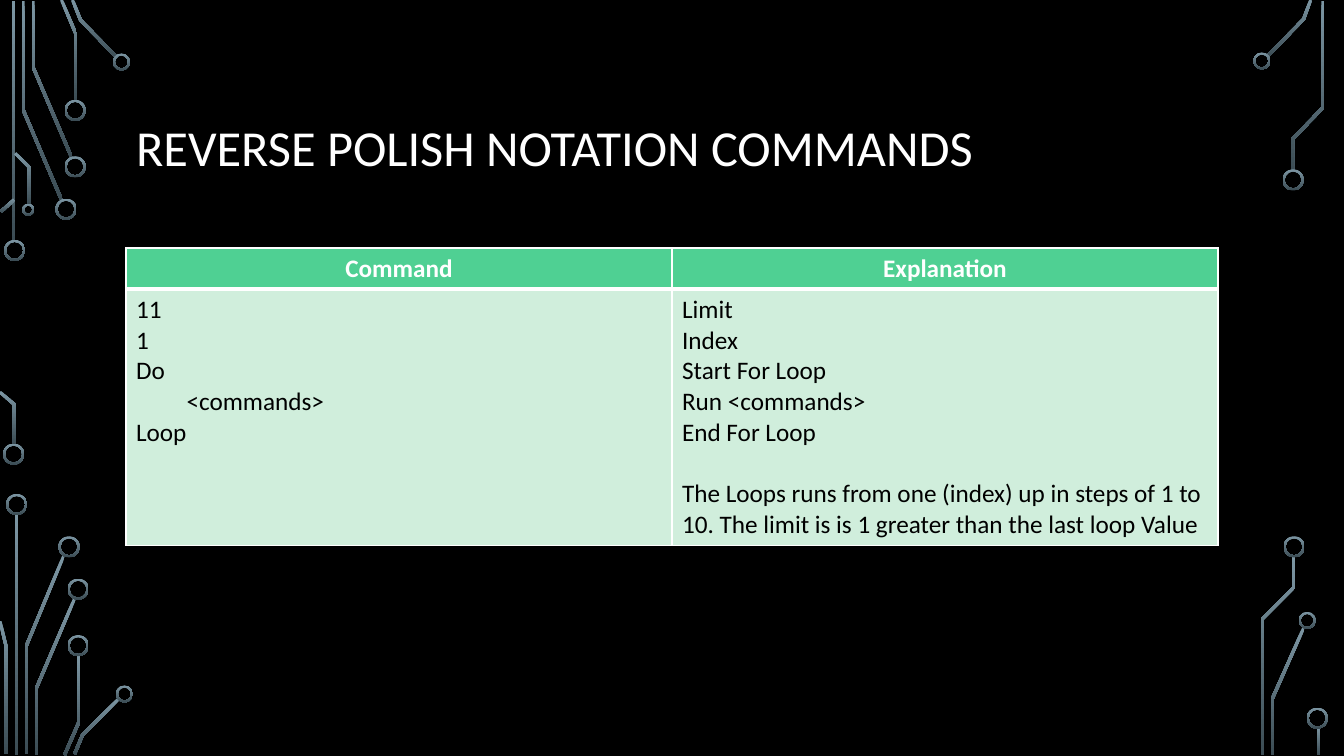
from math import hypot
from lxml.etree import SubElement
from pptx import Presentation
from pptx.dml.color import RGBColor
from pptx.enum.shapes import MSO_SHAPE
from pptx.enum.text import MSO_ANCHOR, PP_ALIGN
from pptx.oxml.ns import qn
from pptx.util import Inches, Pt

COLORS = {"back": "000000", "white": "FFFFFF", "black": "000000",
          "head": "4FD093", "body": "D0EEDC", "light": "7C96A3", "dark": "3B4C54"}
WIRE = 0.03   # width of a circuit line
RIM = 0.02    # width of a circuit ring

# Straight circuit lines: left, top, height
BARS = [(0.12, 0.01, 2.39), (0.15, 5.1, 2.39), (13.06, 7.21, 0.28)]

# Bent circuit lines: points along the middle
WIRES = [
    # Top left
    [(0.23, 0.01), (0.23, 1.09), (0.61, 1.98)],
    [(0.33, 0.01), (0.33, 0.67), (0.71, 1.56)],
    [(0.61, 0), (0.75, 0.33), (0.75, 1)],
    [(0.72, 0), (0.8, 0.2), (1.16, 0.57)],
    [(0.01, 2.1), (0.14, 1.98)],
    [(0.15, 1.52), (0.29, 1.66), (0.29, 2.03)],
    [(0, 3.89), (0.14, 4.01), (0.14, 4.41)],
    # Bottom left
    [(0.26, 7.48), (0.26, 6.41), (0.63, 5.52)],
    [(0, 6.16), (0.06, 6.41), (0.06, 7.48)],
    [(0.36, 7.49), (0.36, 6.83), (0.74, 5.94)],
    [(0.64, 7.49), (0.78, 7.17), (0.78, 6.5)],
    [(0.74, 7.48), (0.82, 7.29), (1.18, 6.93)],
    # Right
    [(12.57, 0.56), (12.93, 0.19), (13, 0)],
    [(12.82, 1.69), (12.82, 1.38), (13.12, 1.07), (13.12, 0.01)],
    [(12.62, 7.49), (12.62, 6.93), (12.93, 6.23)],
    [(12.52, 7.49), (12.52, 6.14), (12.83, 5.83), (12.83, 5.52)],
]

# Circuit rings: left and top, by diameter
RINGS = {
    0.21: [(0.04, 2.38), (0.03, 4.4), (0.55, 1.97), (0.64, 1.55), (0.64, 0.99),
           (0.06, 4.9), (0.58, 5.32), (0.67, 5.74), (0.67, 6.3),
           (12.72, 1.68), (12.73, 5.32), (12.96, 7.02)],
    0.17: [(1.12, 0.53), (1.15, 6.8), (12.43, 0.52), (12.88, 6.07)],
    0.12: [(0.22, 2.02)],
}

HEADS = ["Command", "Explanation"]
BODY = [
    ["11", "1", "Do", "\t<commands>", "Loop"],
    ["Limit", "Index", "Start For Loop", "Run <commands>", "End For Loop",
     "The Loops runs from one (index) up in steps of 1 to 10. "
     "The limit is is 1 greater than the last loop Value"],
]


def tint(name):
    return RGBColor.from_string(COLORS[name])


def outline(points, width):
    """Return the corners of a band that follows the points."""
    norms = []
    for (x1, y1), (x2, y2) in zip(points, points[1:]):
        size = hypot(x2 - x1, y2 - y1)
        norms.append(((y1 - y2) / size, (x2 - x1) / size))
    left, right = [], []
    for (x, y), (ax, ay), (bx, by) in zip(points, norms[:1] + norms, norms + norms[-1:]):
        reach = width / 2 / (1 + ax * bx + ay * by)
        dx, dy = (ax + bx) * reach, (ay + by) * reach
        left.append((x + dx, y + dy))
        right.append((x - dx, y - dy))
    return left + right[::-1]


class Deck:
    face = {"name": "Calibri"}

    def __init__(self):
        self.file = Presentation()
        self.file.slide_width, self.file.slide_height = Inches(13.33), Inches(7.5)
        self.slide = self.file.slides.add_slide(self.file.slide_layouts[5])
        self.shapes = self.slide.shapes
        fill = self.slide.background.fill
        fill.solid()
        fill.fore_color.rgb = tint("back")

    def label(self, para, text, color, **form):
        para.text = text
        for key, value in {**self.face, **form}.items():
            setattr(para.font, key, value)
        para.font.color.rgb = tint(color)

    def shade(self, shape):
        shape.shadow.inherit = False
        shape.line.fill.background()
        shape.fill.gradient()
        shape.fill.gradient_angle = 270
        for stop, name in zip(shape.fill.gradient_stops, ("light", "dark")):
            stop.color.rgb = tint(name)

    def bar(self, left, top, height):
        box = map(Inches, (left, top, WIRE, height))
        self.shade(self.shapes.add_shape(MSO_SHAPE.RECTANGLE, *box))

    def wire(self, points):
        spots = [(Inches(x), Inches(y)) for x, y in outline(points, WIRE)]
        pen = self.shapes.build_freeform(*spots[0])
        pen.add_line_segments(spots[1:], close=True)
        self.shade(pen.convert_to_shape())

    def ring(self, left, top, size):
        box = map(Inches, (left, top, size, size))
        ring = self.shapes.add_shape(MSO_SHAPE.DONUT, *box)
        ring.adjustments[0] = RIM / size
        self.shade(ring)

    def title(self, text, *box):
        title = self.shapes.title
        for key, value in zip(("left", "top", "width", "height"), box):
            setattr(title, key, Inches(value))
        title.text_frame.vertical_anchor = MSO_ANCHOR.MIDDLE
        para = title.text_frame.paragraphs[0]
        para.alignment, para.line_spacing = PP_ALIGN.LEFT, 0.9
        self.label(para, text, "white", size=Pt(36))

    def border(self, cell, **sides):
        props = cell._tc.get_or_add_tcPr()
        for side, width in sides.items():
            line = SubElement(props, qn(f"a:ln{side}"), w=str(Pt(width)))
            solid = SubElement(line, qn("a:solidFill"))
            SubElement(solid, qn("a:srgbClr"), val=COLORS["white"])

    def cell(self, cell, lines, fill, color, align, **form):
        cell.fill.solid()
        cell.fill.fore_color.rgb = tint(fill)
        frame = cell.text_frame
        for i, text in enumerate(lines):
            para = frame.add_paragraph() if i else frame.paragraphs[0]
            para.alignment = align
            self.label(para, text, color, size=Pt(18), **form)

    def table(self, heads, body, heights, *box):
        grid = self.shapes.add_table(2, len(heads), *map(Inches, box)).table
        for row, height in zip(grid.rows, heights):
            row.height = Inches(height)
        for col, (head, lines) in enumerate(zip(heads, body)):
            top, low = grid.cell(0, col), grid.cell(1, col)
            self.border(top, L=1, R=1, T=1, B=3)
            self.border(low, L=1, R=1, T=3, B=1)
            self.cell(top, [head], "head", "white", PP_ALIGN.CENTER, bold=True)
            self.cell(low, lines, "body", "black", PP_ALIGN.LEFT, bold=False)
        return grid


def main():
    deck = Deck()

    # Circuit art along the edges
    for bar in BARS:
        deck.bar(*bar)
    for points in WIRES:
        deck.wire(points)
    for size, spots in RINGS.items():
        for left, top in spots:
            deck.ring(left, top, size)

    # Title and table
    deck.title("REVERSE POLISH NOTATION COMMANDS", 1.25, 0.68, 10.83, 1.62)
    grid = deck.table(HEADS, BODY, (0.41, 2.5), 1.25, 2.46, 10.83, 2.91)

    # One line of space above the closing remark
    grid.cell(1, 1).text_frame.paragraphs[-1].space_before = Pt(22)

    deck.file.save("out.pptx")


if __name__ == "__main__":
    main()
